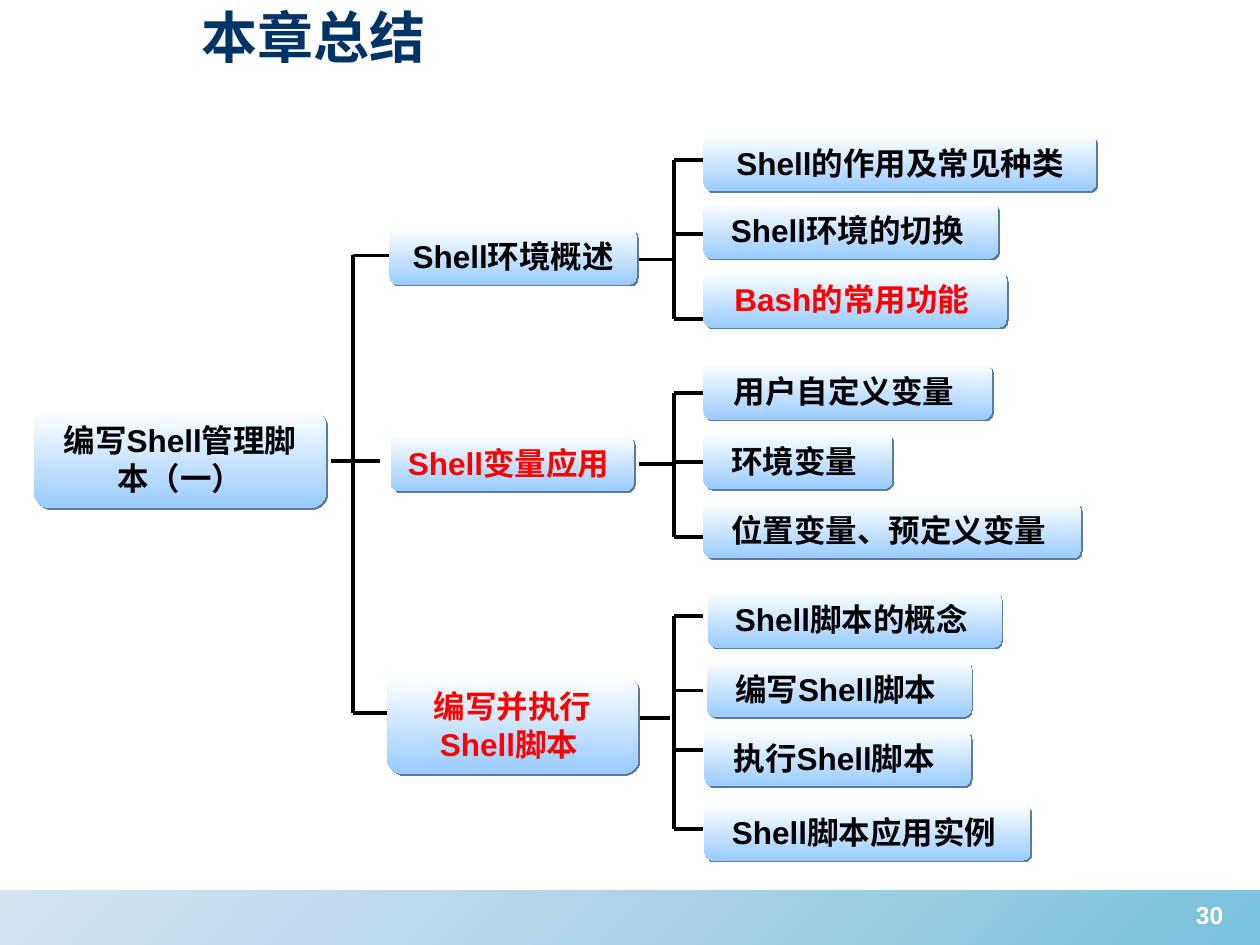
import pptx
import pptx.util
import pptx.dml.color
import pptx.enum.shapes
import pptx.enum.text
import pptx.oxml.ns
from dataclasses import dataclass
from lxml import etree

Pt = pptx.util.Pt
qn = pptx.oxml.ns.qn
SHAPE = pptx.enum.shapes.MSO_SHAPE
ALIGN = pptx.enum.text.PP_ALIGN
ANCHOR = pptx.enum.text.MSO_ANCHOR


@dataclass(frozen=True)
class Theme:
    font: str = "Arial"
    title_size: int = 32
    body_size: int = 18
    number_size: int = 14
    title: str = "003366"
    ink: str = "000000"
    key: str = "FF0000"
    white: str = "FFFFFF"
    box_end: str = "99CCFF"
    shadow: str = "5C7A99"
    bar_start: str = "88B0D8"
    bar_end: str = "1C99C6"
    line_width: float = 2.25


T = Theme()
ROW_H = 32.4      # one-line box
TALL_H = 56.2     # two-line box
LEAF_X = 402
STEM_X = 385.2    # upright of each leaf bracket
TRUNK_X = 201.5   # upright between root and topics

ROOT = ("编写Shell管理脚本（一）", T.ink, (19.4, 234, 167, TALL_H))

# topic: text, colour, box, stem y, stem ends, leaves
# leaf: text, colour, left, top, width, branch y
TOPICS = [
    ("Shell环境概述", T.ink, (222.5, 130.3, 141.8, ROW_H), 148.3, (365, 385.2), [
        ("Shell的作用及常见种类", T.ink, LEAF_X, 77, 224.6, 91.4),
        ("Shell环境的切换 ", T.ink, LEAF_X, 115.4, 168.5, 133.9),
        ("Bash的常用功能 ", T.key, LEAF_X, 154.8, 173.5, 182.2)]),
    ("Shell变量应用 ", T.key, (223.2, 248.4, 139, ROW_H), 265, (365, 385.2), [
        ("用户自定义变量 ", T.ink, LEAF_X, 207.4, 164.9, 224.6),
        ("环境变量 ", T.ink, LEAF_X, 247, 108, 264.2),
        ("位置变量、预定义变量 ", T.ink, LEAF_X, 286.6, 216, 306.7)]),
    ("编写并执行Shell脚本 ", T.key, (221, 386, 144, TALL_H), 410.4, (362.2, 383), [
        ("Shell脚本的概念 ", T.ink, 404.6, 337.7, 167.8, 352.1),
        ("编写Shell脚本 ", T.ink, 404, 377.3, 151.2, 394.6),
        ("执行Shell脚本 ", T.ink, 402.5, 417, 152.6, 428.4),
        ("Shell脚本应用实例 ", T.ink, 402.5, 459.4, 186.5, 473.8)]),
]


def rgb(color):
    return pptx.dml.color.RGBColor.from_string(color)


def write(tf, text, size, color, align):
    tf.word_wrap = True
    p = tf.paragraphs[0]
    p.alignment = align
    r = p.add_run()
    r.text = text
    r.font.name = T.font
    r.font.size = Pt(size)
    r.font.bold = True
    r.font.color.rgb = rgb(color)


def gradient_shape(s, kind, box, colors, angle):
    sp = s.shapes.add_shape(kind, *map(Pt, box))
    sp.shadow.inherit = False
    sp.line.fill.background()
    sp.fill.gradient()
    sp.fill.gradient_angle = angle
    for stop, color, position in zip(sp.fill.gradient_stops, colors, (0, 1)):
        stop.color.rgb = rgb(color)
        stop.position = position
    return sp


def add_line(s, x1, y1, x2, y2):
    ln = s.shapes.add_connector(pptx.enum.shapes.MSO_CONNECTOR.STRAIGHT,
                                *map(Pt, (x1, y1, x2, y2)))
    ln.line.color.rgb = rgb(T.ink)
    ln.line.width = Pt(T.line_width)
    etree.SubElement(ln._element.spPr, qn("a:effectLst"))


def add_node(s, text, color, box):
    sp = gradient_shape(s, SHAPE.ROUNDED_RECTANGLE, box, (T.white, T.box_end), 270)
    # hard shadow towards the lower right
    effects = sp._element.spPr.find(qn("a:effectLst"))
    shadow = etree.SubElement(effects, qn("a:outerShdw"), blurRad="0",
                              dist=str(Pt(1.4)), dir="2700000", algn="ctr",
                              rotWithShape="0")
    etree.SubElement(shadow, qn("a:srgbClr"), val=T.shadow)
    sp.text_frame.vertical_anchor = ANCHOR.MIDDLE
    write(sp.text_frame, text, T.body_size, color, ALIGN.CENTER)


def add_text(s, box, text, size, color, align, anchor):
    tf = s.shapes.add_textbox(*map(Pt, box)).text_frame
    tf.vertical_anchor = anchor
    write(tf, text, size, color, align)


def add_footer(s, box):
    x, y, w, h = box
    bar = gradient_shape(s, SHAPE.RECTANGLE, box, (T.bar_start, T.bar_end), 315)
    for color, alpha in zip(bar._element.spPr.iter(qn("a:srgbClr")), (35, 60)):
        etree.SubElement(color, qn("a:alpha"), val=str(alpha * 1000))
    add_text(s, (x + w - 54.7, y + 1.5, 51.8, h), "30",
             T.number_size, T.white, ALIGN.CENTER, ANCHOR.TOP)


def add_topic(s, text, color, box, stem_y, stem, leaves):
    # bracket
    branch_ys = [leaf[-1] for leaf in leaves]
    add_line(s, stem[0], stem_y, stem[1], stem_y)
    add_line(s, STEM_X, branch_ys[0], STEM_X, branch_ys[-1])
    for y in branch_ys:
        add_line(s, STEM_X, y, LEAF_X, y)
    # boxes
    add_node(s, text, color, box)
    for label, ink, x, y, w, _ in leaves:
        add_node(s, label, ink, (x, y, w, ROW_H))


def add_root(s, text, color, box):
    top, bottom = 146, 407.5
    add_line(s, TRUNK_X, top, TRUNK_X, bottom)
    for x1, x2, y in ((TRUNK_X, 222.5, top), (189.4, 217.4, 263.5),
                      (TRUNK_X, 222.5, bottom)):
        add_line(s, x1, y, x2, y)
    add_node(s, text, color, box)


def main():
    prs = pptx.Presentation()
    prs.slide_width, prs.slide_height = Pt(720), Pt(540)
    s = prs.slides.add_slide(prs.slide_layouts[6])
    add_footer(s, (0, 509, 720, 31))
    add_text(s, (108, -2.2, 581, 45.4), "本章总结",
             T.title_size, T.title, ALIGN.LEFT, ANCHOR.MIDDLE)
    add_root(s, *ROOT)
    for topic in TOPICS:
        add_topic(s, *topic)
    prs.save("out.pptx")


if __name__ == "__main__":
    main()
